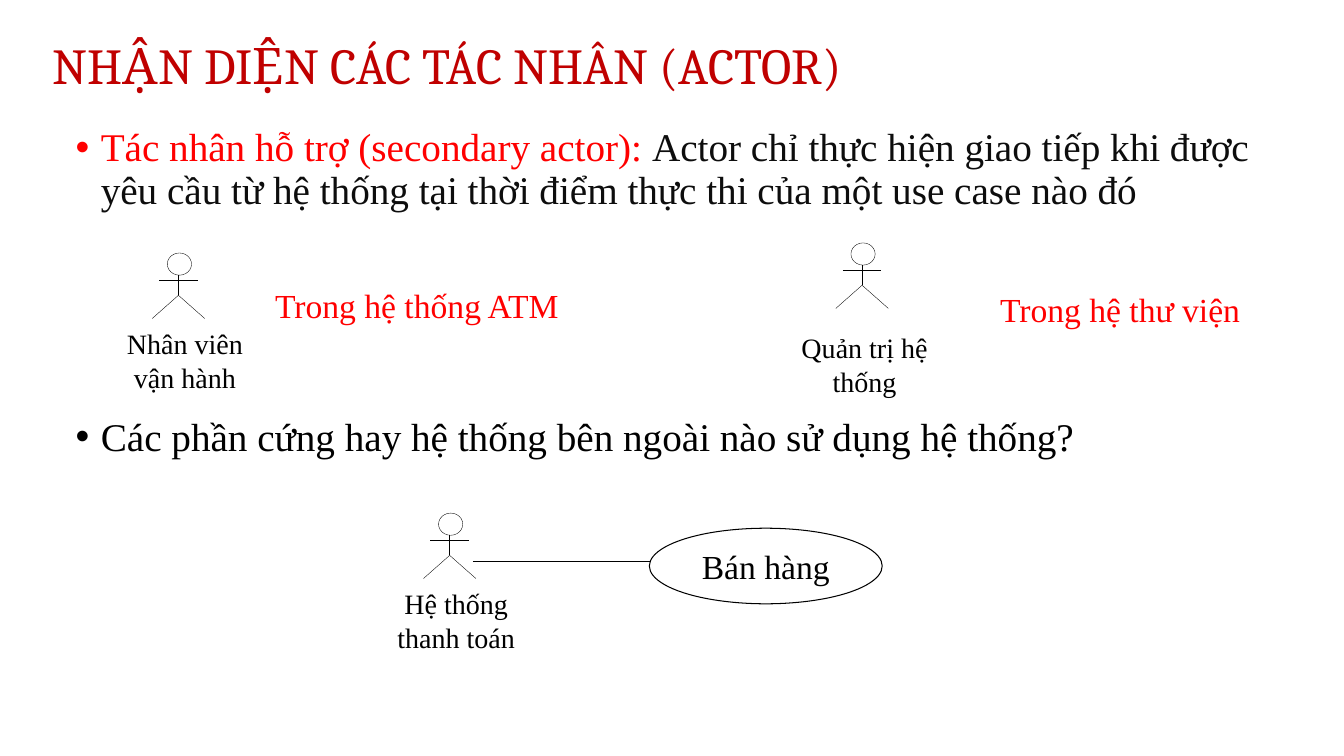
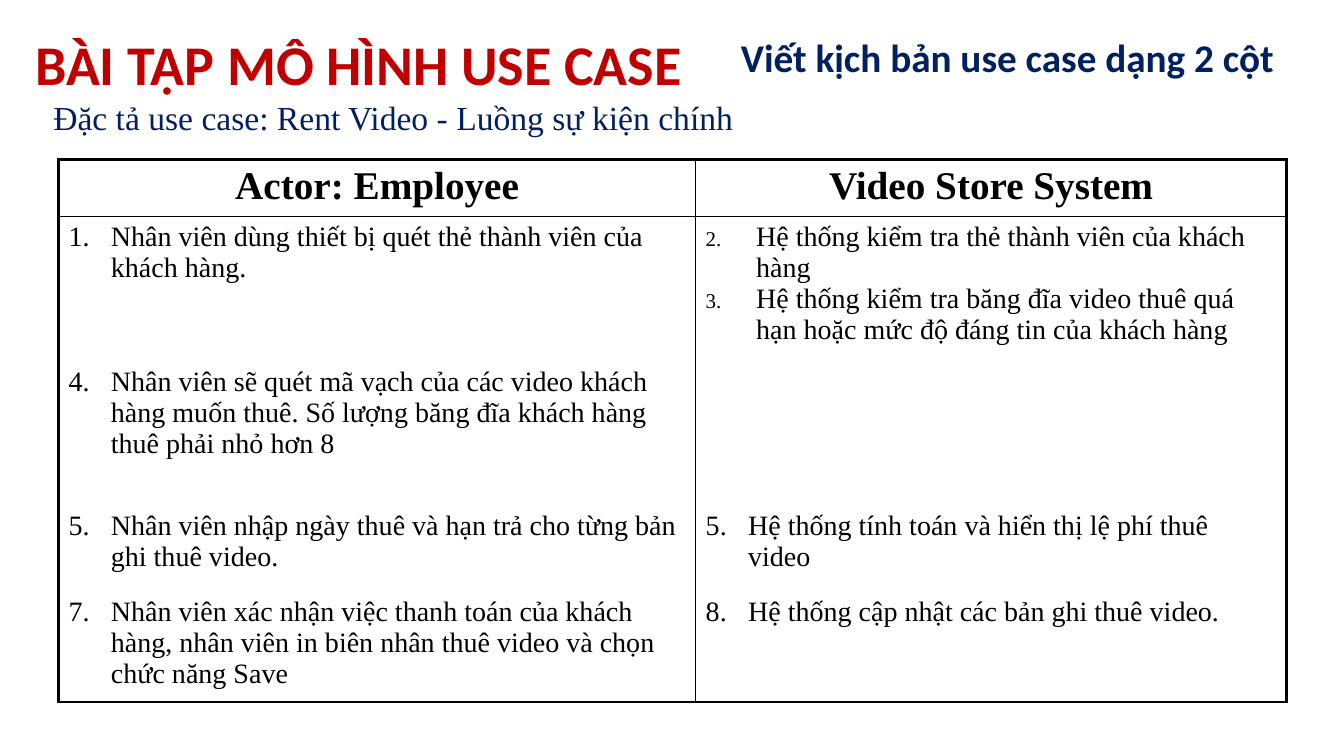
from dataclasses import dataclass

from lxml.etree import SubElement
from pptx import Presentation
from pptx.dml.color import RGBColor
from pptx.enum.shapes import MSO_CONNECTOR, MSO_SHAPE
from pptx.enum.text import MSO_ANCHOR, MSO_AUTO_SIZE, PP_ALIGN
from pptx.oxml.ns import qn
from pptx.util import Inches, Pt


@dataclass(frozen=True)
class Theme:
    title: str = "C00000"
    accent: str = "FF0000"
    navy: str = "002060"
    body: str = "0D0D0D"
    ink: str = "000000"
    serif: str = "Times New Roman"
    heading: str = "Cambria"
    sans: str = "Calibri"
    huge: int = 40
    big: int = 36
    large: int = 28
    medium: int = 24
    small: int = 20
    hairline: float = 0.25
    thin: float = 0.75
    inner: float = 1
    outer: float = 2.25


THEME = Theme()

# Content: actors slide
ACTORS_TITLE = "NHẬN DIỆN CÁC TÁC NHÂN (ACTOR)"
BULLETS = [
    [("Tác nhân hỗ trợ (secondary actor): ", THEME.accent),
     ("Actor chỉ thực hiện giao tiếp khi được yêu cầu từ hệ thống tại "
      "thời điểm thực thi của một use case nào đó", THEME.body)],
    [("Các phần cứng hay hệ thống bên ngoài nào sử dụng hệ thống?", THEME.ink)],
]
DIAGRAM_GAP = 146  # points left between the bullets for the first two actors
# label, figure left and top, label left and top
ACTORS = [
    ("Nhân viên vận hành", (1.51, 2.51), (1.08, 3.24)),
    ("Quản trị hệ thống", (8.29, 2.41), (7.82, 3.28)),
    ("Hệ thống thanh toán", (4.2, 5.09), (3.77, 5.82)),
]
SYSTEMS = [
    ("Trong hệ thống ATM", (2.63, 2.78, 3.76, 0.5)),
    ("Trong hệ thư viện", (9.82, 2.82, 3.26, 0.5)),
]
USE_CASE = "Bán hàng"

# Content: exercise slide
EXERCISE_TITLE = "BÀI TẬP MÔ HÌNH USE CASE"
SUBTITLE = "Đặc tả use case: Rent Video - Luồng sự kiện chính"
TASK = "Viết kịch bản use case dạng 2 cột"
HEADERS = ["Actor: Employee", "Video Store System"]
COLUMN_WIDTHS = [6.32, 5.86]
ROW_HEIGHTS = [0.57, 1.34, 1.43, 0.85, 1.1]
# each cell: first number, steps
STEPS = [
    [(1, ["Nhân viên dùng thiết bị quét thẻ thành viên của khách hàng."]),
     (2, ["Hệ thống kiểm tra thẻ thành viên của khách hàng",
          "Hệ thống kiểm tra băng đĩa video thuê quá hạn hoặc mức độ "
          "đáng tin của khách hàng"])],
    [(4, ["Nhân viên sẽ quét mã vạch của các video khách hàng muốn thuê. "
          "Số lượng băng đĩa khách hàng thuê phải nhỏ hơn 8"]),
     None],
    [(5, ["Nhân viên nhập ngày thuê và hạn trả cho từng bản ghi thuê video."]),
     (5, ["Hệ thống tính toán và hiển thị lệ phí thuê video"])],
    [(7, ["Nhân viên xác nhận việc thanh toán của khách hàng, nhân viên in "
          "biên nhân thuê video và chọn chức năng Save"]),
     (8, ["Hệ thống cập nhật các bản ghi thuê video."])],
]


def place(shape, left, top, width, height):
    shape.left, shape.top = Inches(left), Inches(top)
    shape.width, shape.height = Inches(width), Inches(height)


def set_font(para, size, color=None, name=THEME.serif, bold=False):
    font = para.font
    font.name, font.size, font.bold = name, Pt(size), bold
    if color:
        font.color.rgb = RGBColor.from_string(color)


def set_list(para, hang, tag, size_percent=None, **attributes):
    """Give a paragraph a hanging indent and a bullet or number."""
    props = para._p.get_or_add_pPr()
    props.set("marL", str(Inches(hang)))
    props.set("indent", str(-Inches(hang) if tag == "a:buAutoNum" else -Inches(0.25)))
    if size_percent:
        SubElement(props, qn("a:buSzPct")).set("val", str(size_percent * 1000))
    bullet = SubElement(props, qn(tag))
    for key, value in attributes.items():
        bullet.set(key, str(value))


def set_title(page, text, at, size, name, bold=False):
    place(page.shapes.title, *at)
    frame = page.shapes.title.text_frame
    frame.auto_size, frame.word_wrap = MSO_AUTO_SIZE.NONE, True
    frame.vertical_anchor = MSO_ANCHOR.BOTTOM
    frame.text = text
    para = frame.paragraphs[0]
    para.alignment, para.line_spacing = PP_ALIGN.LEFT, 0.9
    set_font(para, size, THEME.title, name, bold)


def add_text(page, text, at, size, color, align=PP_ALIGN.LEFT,
             anchor=MSO_ANCHOR.TOP, inset=True, **font):
    box = page.shapes.add_textbox(*map(Inches, at))
    frame = box.text_frame
    frame.word_wrap, frame.vertical_anchor = True, anchor
    if not inset:
        frame.margin_left = frame.margin_right = 0
        frame.margin_top = frame.margin_bottom = 0
    frame.text = text
    para = frame.paragraphs[0]
    para.alignment = align
    set_font(para, size, color, **font)


def set_outline(shape, width):
    shape.shadow.inherit = False
    shape.fill.background()
    shape.line.color.rgb = RGBColor.from_string(THEME.ink)
    shape.line.width = Pt(width)


def add_line(shapes, start, end, width):
    line = shapes.add_connector(MSO_CONNECTOR.STRAIGHT, *map(Inches, start + end))
    line.line.color.rgb = RGBColor.from_string(THEME.ink)
    line.line.width = Pt(width)
    SubElement(line._element.spPr, qn("a:effectLst"))


def add_actor(page, label, figure_at, label_at):
    left, top = figure_at
    middle, neck, hip = left + 0.26, top + 0.22, top + 0.42
    parts = page.shapes.add_group_shape().shapes
    head = parts.add_shape(MSO_SHAPE.OVAL, *map(Inches, (left + 0.15, top, 0.24, 0.22)))
    set_outline(head, THEME.hairline)
    add_line(parts, (middle, neck), (middle, hip), THEME.hairline)
    add_line(parts, (left + 0.07, top + 0.27), (left + 0.45, top + 0.27), THEME.hairline)
    outline = parts.build_freeform(Inches(left), Inches(top + 0.65))
    outline.add_line_segments([(Inches(middle), Inches(hip)),
                               (Inches(left + 0.52), Inches(top + 0.65))], close=False)
    set_outline(outline.convert_to_shape(), THEME.hairline)
    add_text(page, label, label_at + (1.51, 0.67), THEME.small, THEME.ink,
             PP_ALIGN.CENTER, inset=False)


def build_actors(deck):
    page = deck.slides.add_slide(deck.slide_layouts[1])
    set_title(page, ACTORS_TITLE, (0.42, 0, 10.08, 1), THEME.big, THEME.heading)

    # Bulleted body
    body = page.placeholders[1]
    place(body, 0.42, 1.17, 12.28, 4.58)
    frame = body.text_frame
    frame.auto_size = MSO_AUTO_SIZE.NONE
    frame.margin_left, frame.margin_top = Inches(0.2), Inches(0.1)
    for index, spans in enumerate(BULLETS):
        para = frame.add_paragraph() if index else frame.paragraphs[0]
        para.line_spacing, para.space_before = 0.9, Pt(DIAGRAM_GAP * index)
        set_list(para, 0.38, "a:buChar", char="•")
        set_font(para, THEME.large)
        for text, color in spans:
            span = para.add_run()
            span.text = text
            span.font.color.rgb = RGBColor.from_string(color)

    # Actors and their systems
    for actor in ACTORS:
        add_actor(page, *actor)
    for text, at in SYSTEMS:
        add_text(page, text, at, THEME.medium, THEME.accent)

    # Use case and its association
    use_case = page.shapes.add_shape(MSO_SHAPE.OVAL, *map(Inches, (6.44, 5.24, 2.31, 0.75)))
    set_outline(use_case, THEME.thin)
    frame = use_case.text_frame
    frame.word_wrap, frame.vertical_anchor = False, MSO_ANCHOR.MIDDLE
    frame.text = USE_CASE
    frame.paragraphs[0].alignment = PP_ALIGN.CENTER
    set_font(frame.paragraphs[0], THEME.medium, THEME.ink)
    add_line(page.shapes, (4.69, 5.57), (6.46, 5.57), THEME.thin)


def set_border(cell, side, width):
    line = SubElement(cell._tc.get_or_add_tcPr(), qn(f"a:ln{side}"))
    if not width:
        SubElement(line, qn("a:noFill"))
        return
    line.set("w", str(Pt(width)))
    fill = SubElement(line, qn("a:solidFill"))
    SubElement(fill, qn("a:srgbClr")).set("val", THEME.ink)


def fill_steps(cell, first, steps):
    several = len(steps) > 1
    for index, step in enumerate(steps):
        para = cell.text_frame.add_paragraph() if index else cell.text_frame.paragraphs[0]
        para.text = step
        set_list(para, 0.5 if several else 0.42, "a:buAutoNum", 75 if several else None,
                 type="arabicPeriod", startAt=first)
        set_font(para, THEME.small, THEME.ink)


def build_exercise(deck):
    page = deck.slides.add_slide(deck.slide_layouts[5])
    set_title(page, EXERCISE_TITLE, (0.25, 0.02, 6.9, 1), THEME.huge, THEME.sans, True)
    add_text(page, SUBTITLE, (0.43, 0.75, 12.48, 0.83), THEME.medium, THEME.navy,
             anchor=MSO_ANCHOR.MIDDLE)
    add_text(page, TASK, (7.0, 0.15, 5.98, 0.83), THEME.large, THEME.navy,
             PP_ALIGN.CENTER, MSO_ANCHOR.MIDDLE, name=THEME.sans, bold=True)

    # Two-column scenario
    rows, columns = len(ROW_HEIGHTS), len(COLUMN_WIDTHS)
    table = page.shapes.add_table(
        rows, columns, Inches(0.58), Inches(1.58),
        Inches(sum(COLUMN_WIDTHS)), Inches(sum(ROW_HEIGHTS))).table
    table.horz_banding = table.first_row = False
    for column, width in zip(table.columns, COLUMN_WIDTHS):
        column.width = Inches(width)
    for row, height in zip(table.rows, ROW_HEIGHTS):
        row.height = Inches(height)

    for row in range(rows):
        for column in range(columns):
            cell = table.cell(row, column)
            borders = {
                "L": THEME.inner if column else THEME.outer,
                "R": THEME.outer if column == columns - 1 else THEME.inner,
                "T": {0: THEME.outer, 1: THEME.inner}.get(row),
                "B": {0: THEME.inner, rows - 1: THEME.outer}.get(row),
            }
            for side, width in borders.items():
                set_border(cell, side, width)
            cell.fill.background()
            if row == 0:
                cell.text = HEADERS[column]
                para = cell.text_frame.paragraphs[0]
                para.alignment = PP_ALIGN.CENTER
                set_font(para, THEME.large, THEME.ink, bold=True)
            elif STEPS[row - 1][column]:
                fill_steps(cell, *STEPS[row - 1][column])


def main():
    deck = Presentation()
    deck.slide_width, deck.slide_height = Inches(13.33), Inches(7.5)
    build_actors(deck)
    build_exercise(deck)
    deck.save("out.pptx")


if __name__ == "__main__":
    main()
